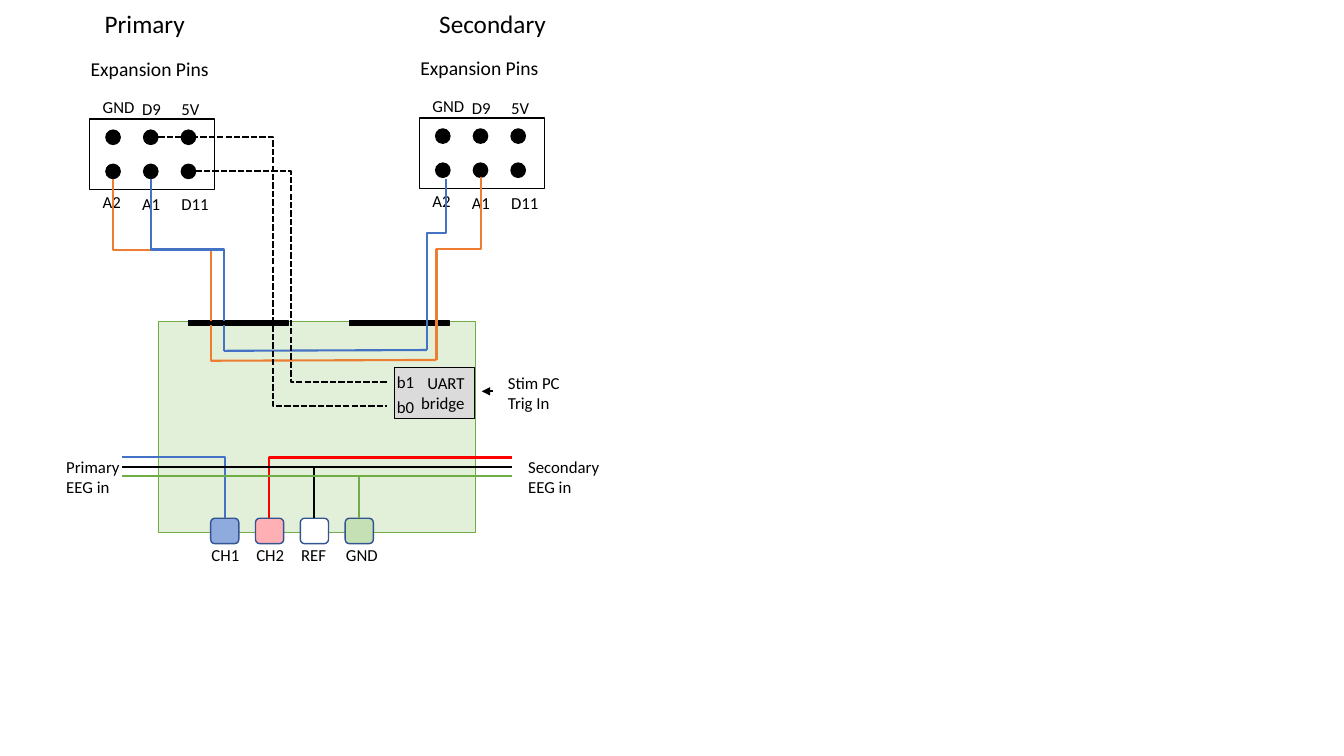
from lxml import etree
from pptx import Presentation
from pptx.dml.color import RGBColor
from pptx.enum import dml, shapes, text
from pptx.oxml import ns
from pptx.util import Cm, Pt

BLACK = RGBColor(0x00, 0x00, 0x00)
WHITE = RGBColor(0xFF, 0xFF, 0xFF)
ORANGE = RGBColor(0xED, 0x7D, 0x31)
BLUE = RGBColor(0x44, 0x72, 0xC4)
GREEN = RGBColor(0x70, 0xAD, 0x47)
RED = RGBColor(0xFF, 0x00, 0x00)
BOARD_GREEN = RGBColor(0xE2, 0xF0, 0xD9)
BRIDGE_GREY = RGBColor(0xDB, 0xDB, 0xDB)
PAD_EDGE = RGBColor(0x32, 0x54, 0x91)
PAD_BLUE = RGBColor(0x8F, 0xAA, 0xDC)
PAD_PINK = RGBColor(0xFF, 0xB0, 0xB5)
PAD_GREEN = RGBColor(0xC5, 0xE0, 0xB4)

LEFT, CENTER, RIGHT = text.PP_ALIGN.LEFT, text.PP_ALIGN.CENTER, text.PP_ALIGN.RIGHT
RECT = shapes.MSO_SHAPE.RECTANGLE
STRAIGHT, ELBOW = shapes.MSO_CONNECTOR.STRAIGHT, shapes.MSO_CONNECTOR.ELBOW


class Diagram:
    """Holds the text style and the current slide; all lengths are in cm."""

    def __init__(self, slide):
        self.items = slide.shapes
        self.font = {"name": "Calibri", "size": Pt(12)}

    def fill_text(self, frame, words, align=LEFT, **changes):
        frame.text = words
        for paragraph in frame.paragraphs:
            paragraph.alignment = align
            paragraph.font.color.rgb = BLACK
            for key, value in {**self.font, **changes}.items():
                setattr(paragraph.font, key, value)

    def label(self, words, x, y, width, height=0.76, align=LEFT, **changes):
        frame = self.items.add_textbox(Cm(x), Cm(y), Cm(width), Cm(height)).text_frame
        frame.word_wrap = False
        frame.auto_size = text.MSO_AUTO_SIZE.SHAPE_TO_FIT_TEXT
        self.fill_text(frame, words, align, **changes)

    def box(self, x, y, width, height, fill, edge=BLACK, weight=1, kind=RECT):
        item = self.items.add_shape(kind, Cm(x), Cm(y), Cm(width), Cm(height))
        item.shadow.inherit = False
        item.fill.solid()
        item.fill.fore_color.rgb = fill
        item.line.color.rgb = edge
        item.line.width = Pt(weight)
        return item

    def wire(self, start, end, color, kind=STRAIGHT, dash=None):
        item = self.items.add_connector(kind, *map(Cm, (*start, *end)))
        item.line.color.rgb = color
        item.line.width = Pt(1.5)
        if dash:
            item.line.dash_style = dash
        etree.SubElement(item._element.spPr, ns.qn("a:effectLst"))
        return item

    def drop(self, start, end, color, bend=0.5):
        """Elbow that leaves vertically: a level elbow turned by 90 degrees."""
        (x1, y1), (x2, y2) = start, end
        cx, cy, dx, dy = (x1 + x2) / 2, (y1 + y2) / 2, (x2 - x1) / 2, (y2 - y1) / 2
        item = self.wire((cx - dy, cy + dx), (cx + dy, cy - dx), color, ELBOW)
        properties = item._element.spPr
        properties.find(ns.qn("a:xfrm")).set("rot", "5400000")
        adjustments = properties.find(ns.qn("a:prstGeom")).find(ns.qn("a:avLst"))
        etree.SubElement(adjustments, ns.qn("a:gd"), name="adj1",
                         fmla=f"val {round(bend * 100000)}")

    def corner(self, start, end, color):
        item = self.wire(start, end, color, ELBOW)
        item._element.spPr.find(ns.qn("a:prstGeom")).set("prst", "bentConnector2")

    def arrow(self, start, end, color):
        line = self.wire(start, end, color)._element.spPr.find(ns.qn("a:ln"))
        etree.SubElement(line, ns.qn("a:tailEnd"), type="triangle")


deck = Presentation()
deck.slide_width, deck.slide_height = Cm(33.87), Cm(19.05)
wiring = Diagram(deck.slides.add_slide(deck.slide_layouts[6]))

# Expansion headers: label, column, offset from the header's top, width
PIN_LABELS = [("GND", 0, -0.69, 1.32), ("D9", 1, -0.64, 0.99), ("5V", 2, -0.64, 0.97),
              ("A2", 0, 1.7, 0.99), ("A1", 1, 1.75, 0.99), ("D11", 2, 1.75, 1.22)]
for role, x, y, role_x, role_width in [("Primary", 2.26, 3, 2.39, 2.54),
                                       ("Secondary", 10.57, 2.97, 10.82, 3.23)]:
    wiring.label(role, role_x, 0.08, role_width, 1.02, size=Pt(18))
    wiring.label("Expansion Pins", x - 0.25, y - 1.68, 3.53, 0.86, CENTER, size=Pt(14))
    wiring.box(x, y, 3.15, 1.78, WHITE)
    for row in range(2):
        for column in range(3):
            wiring.box(x + 0.41 + 0.95 * column, y + 0.28 + 0.86 * row, 0.36, 0.36,
                       BLACK, kind=shapes.MSO_SHAPE.OVAL)
    for pin, column, offset, width in PIN_LABELS:
        wiring.label(pin, x + 0.08 + 0.99 * column, y + offset, width)

# Board with its two connector bars
wiring.box(3.99, 8.1, 7.98, 5.31, BOARD_GREEN, GREEN, 0.5)
for bar_x in (8.81, 4.75):
    wiring.box(bar_x, 8.08, 2.51, 0.13, BLACK)

# Cross links between the headers: pins, bar crossings, depth on the board
for color, primary_pin, primary_x, secondary_pin, secondary_x, depth, bend in [
        (ORANGE, (2.84, 4.5), 5.31, (12.12, 4.47), 11, 9.09, 0.5),
        (BLUE, (3.81, 4.5), 5.64, (11.23, 4.52), 10.76, 8.84, 0.38)]:
    wiring.drop(primary_pin, (primary_x, 8.08), color)
    wiring.drop(secondary_pin, (secondary_x, 8.1), color, bend)
    wiring.wire((secondary_x, 8.1), (secondary_x, depth - 0.02), color)
    wiring.wire((primary_x, 8.2), (primary_x, depth), color)
    wiring.wire((primary_x, depth), (secondary_x, depth - 0.02), color)

# UART bridge and its trigger lines
bridge = wiring.box(9.93, 9.27, 2.03, 1.27, BRIDGE_GREY, weight=0.5).text_frame
bridge.word_wrap = True
bridge.vertical_anchor = text.MSO_ANCHOR.MIDDLE
wiring.fill_text(bridge, "UART bridge", RIGHT)
for bit, label_y, pin, line_y in [("b0", 9.86, (3.99, 3.45), 10.24),
                                  ("b1", 9.25, (4.93, 4.32), 9.63)]:
    wiring.wire(pin, (9.75, line_y), BLACK, ELBOW, dml.MSO_LINE.SQUARE_DOT)
    wiring.label(bit, 9.75, label_y, 0.97)
wiring.arrow((12.42, 9.86), (12.14, 9.86), BLACK)

# Electrode pads, each with its leads to the sides
WEST, EAST = 3.07, 12.9
PADS = [("CH1", 1.22, PAD_BLUE, BLUE, 11.51, [WEST]),
        ("CH2", 1.22, PAD_PINK, RED, 11.53, [EAST]),
        ("REF", 1.14, WHITE, BLACK, 11.76, [EAST, WEST]),
        ("GND", 1.32, PAD_GREEN, GREEN, 11.99, [EAST, WEST])]
for index, (pad, width, fill, color, lead_y, sides) in enumerate(PADS):
    x = 5.31 + 1.13 * index
    wiring.box(x, 13.06, 0.71, 0.64, fill, PAD_EDGE,
               kind=shapes.MSO_SHAPE.ROUNDED_RECTANGLE)
    wiring.label(pad, x - 0.23, 13.59, width)
    for side in sides:
        wiring.corner((side, lead_y), (x + 0.35, 13.06), color)

# Outside inputs
for source, x, y, width in [("Secondary\nEEG in", 13.06, 11.38, 2.41),
                            ("Primary\nEEG in", 1.42, 11.38, 1.96),
                            ("Stim PC\nTrig In", 12.55, 9.27, 1.83)]:
    wiring.label(source, x, y, width, 1.27)

deck.save("out.pptx")
